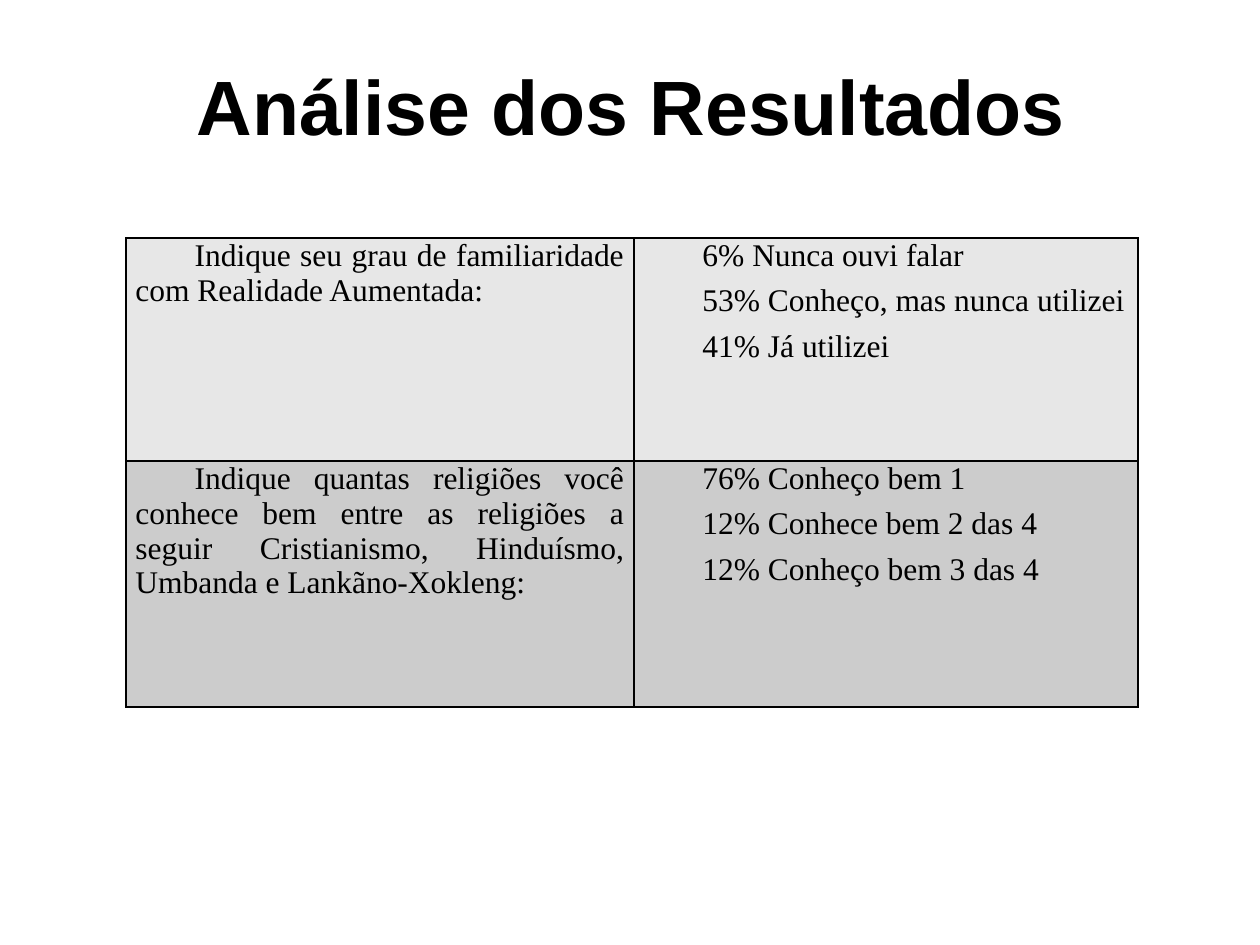
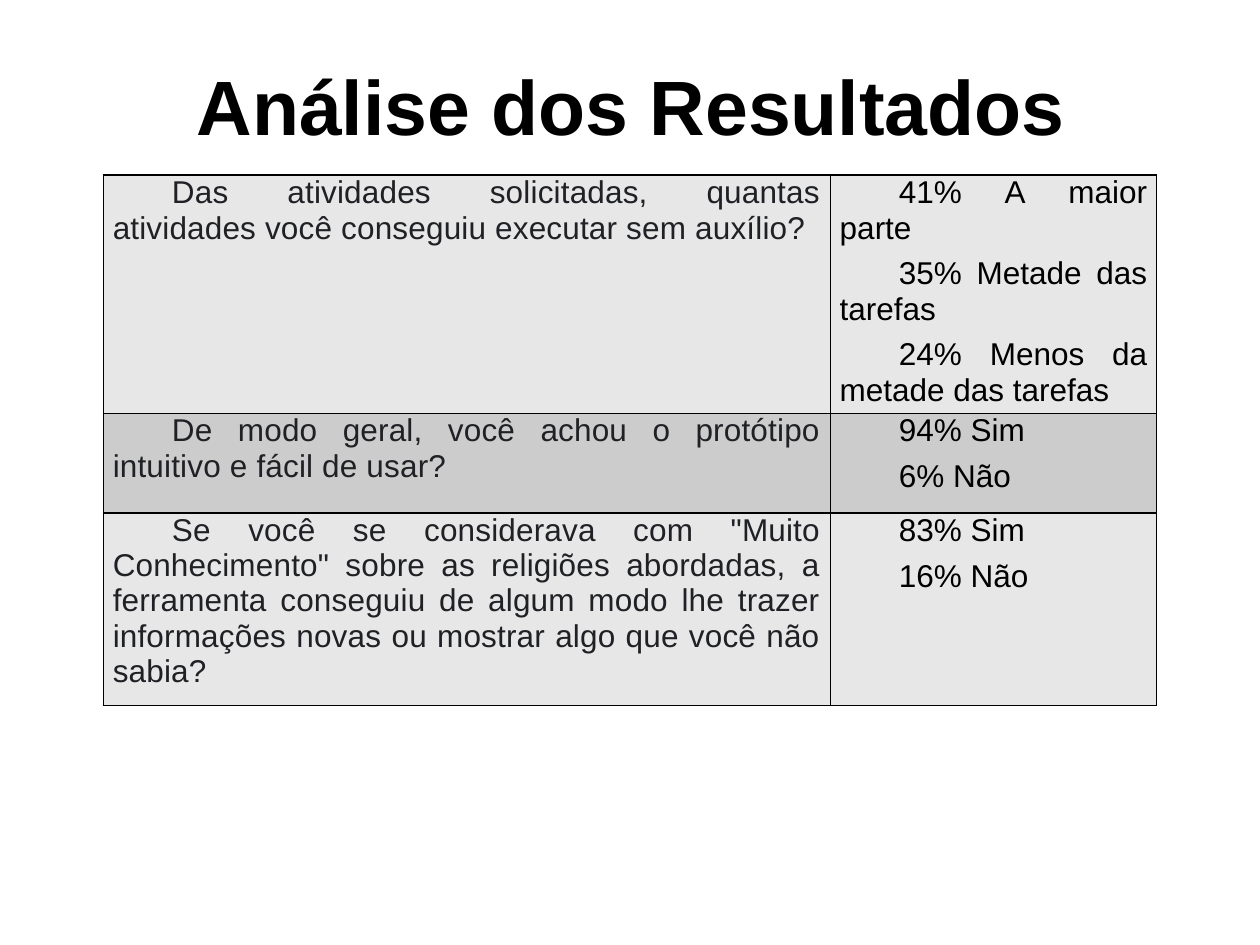
from dataclasses import dataclass

from lxml.etree import SubElement as Sub
from pptx import Presentation
from pptx.dml.color import RGBColor as RGB
from pptx.enum.text import MSO_ANCHOR as Anchor, PP_ALIGN as Align
from pptx.oxml.ns import qn
from pptx.util import Pt


@dataclass(frozen=True)
class Theme:
    black: RGB = RGB(0, 0, 0)
    soft: RGB = RGB(0x20, 0x21, 0x24)
    bands: tuple = (RGB(0xE7, 0xE7, 0xE7), RGB(0xCC, 0xCC, 0xCC))
    sans: str = "Arial"
    serif: str = "Times New Roman"
    head: int = 44
    text: int = 18
    gap: int = 6
    indent: float = 33.84
    pad: float = 5.4
    line: int = 1


T = Theme()
TITLE = "Análise dos Resultados"

# Each row: question, answers
PRIOR = [
    ("Indique seu grau de familiaridade com Realidade Aumentada:",
     ["6% Nunca ouvi falar", "53% Conheço, mas nunca utilizei",
      "41% Já utilizei"]),
    ("Indique quantas religiões você conhece bem entre as religiões a seguir "
     "Cristianismo, Hinduísmo, Umbanda e Lankãno-Xokleng:",
     ["76% Conheço bem 1", "12% Conhece bem 2 das 4",
      "12% Conheço bem 3 das 4"]),
]
USAGE = [
    ("Das atividades solicitadas, quantas atividades você conseguiu executar "
     "sem auxílio?",
     ["41% A maior parte", "35% Metade das tarefas",
      "24% Menos da metade das tarefas"]),
    ("De modo geral, você achou o protótipo intuitivo e fácil de usar?",
     ["94% Sim", "6% Não"]),
    ('Se você se considerava com "Muito Conhecimento" sobre as religiões '
     "abordadas, a ferramenta conseguiu de algum modo lhe trazer informações "
     "novas ou mostrar algo que você não sabia?",
     ["83% Sim", "16% Não"]),
]


def style(para, face, size, color, align):
    para.alignment = align
    font = para.font
    font.name, font.size, font.color.rgb = face, Pt(size), color


def add_slide(deck):
    """Add a slide with the shared title."""
    slide = deck.slides.add_slide(deck.slide_layouts[5])
    title = slide.shapes.title
    title.left, title.top = Pt(36.72), Pt(15.12)
    title.width, title.height = Pt(648), Pt(90)
    frame = title.text_frame
    frame.text = TITLE
    frame.vertical_anchor = Anchor.MIDDLE
    para = frame.paragraphs[0]
    style(para, T.sans, T.head, T.black, Align.CENTER)
    para.font.bold = True
    return slide


def add_edges(cell):
    """Draw the four cell borders, which come before the fill in the XML."""
    props = cell._tc.get_or_add_tcPr()
    for i, side in enumerate("LRTB"):
        edge = Sub(props, qn(f"a:ln{side}"), w=str(Pt(T.line)))
        fill = Sub(edge, qn("a:solidFill"))
        Sub(fill, qn("a:srgbClr"), val=str(T.black))
        props.insert(i, edge)


def fill_cell(cell, lines, face, color, band, track=0):
    """Write justified lines; track is letter spacing in 1/100 pt."""
    cell.fill.solid()
    cell.fill.fore_color.rgb = band
    add_edges(cell)
    cell.margin_left = cell.margin_right = Pt(T.pad)
    cell.margin_top = cell.margin_bottom = 0
    frame = cell.text_frame
    frame.text = "\n".join(lines)
    for para in frame.paragraphs:
        style(para, face, T.text, color, Align.JUSTIFY)
        para.space_before = Pt(T.gap)
        para._p.get_or_add_pPr().set("indent", str(Pt(T.indent)))
        if track:
            for run in para.runs:
                run._r.get_or_add_rPr().set("spc", str(track))


def add_grid(slide, data, spot, wides, highs, face, ask=T.black, track=0):
    """Add a table of questions and answers in alternating bands."""
    size = sum(wides), sum(highs)
    grid = slide.shapes.add_table(
        len(highs), len(wides), *map(Pt, spot + size)).table
    for col, wide in zip(grid.columns, wides):
        col.width = Pt(wide)
    for i, (high, (query, replies)) in enumerate(zip(highs, data)):
        grid.rows[i].height = Pt(high)
        band = T.bands[i % 2]
        fill_cell(grid.cell(i, 0), [query], face, ask, band, track)
        fill_cell(grid.cell(i, 1), replies, face, T.black, band)


def main():
    deck = Presentation()
    deck.slide_width, deck.slide_height = Pt(720), Pt(540)

    # Prior knowledge
    add_grid(add_slide(deck), PRIOR, (72, 136.08), (290.16, 288),
             (127.44, 140.4), T.serif)

    # Use of the prototype
    add_grid(add_slide(deck), USAGE, (59.04, 100.08), (415.44, 186.48),
             (136.08, 56.88, 110.16), T.sans, T.soft, 10)

    deck.save("out.pptx")


if __name__ == "__main__":
    main()
